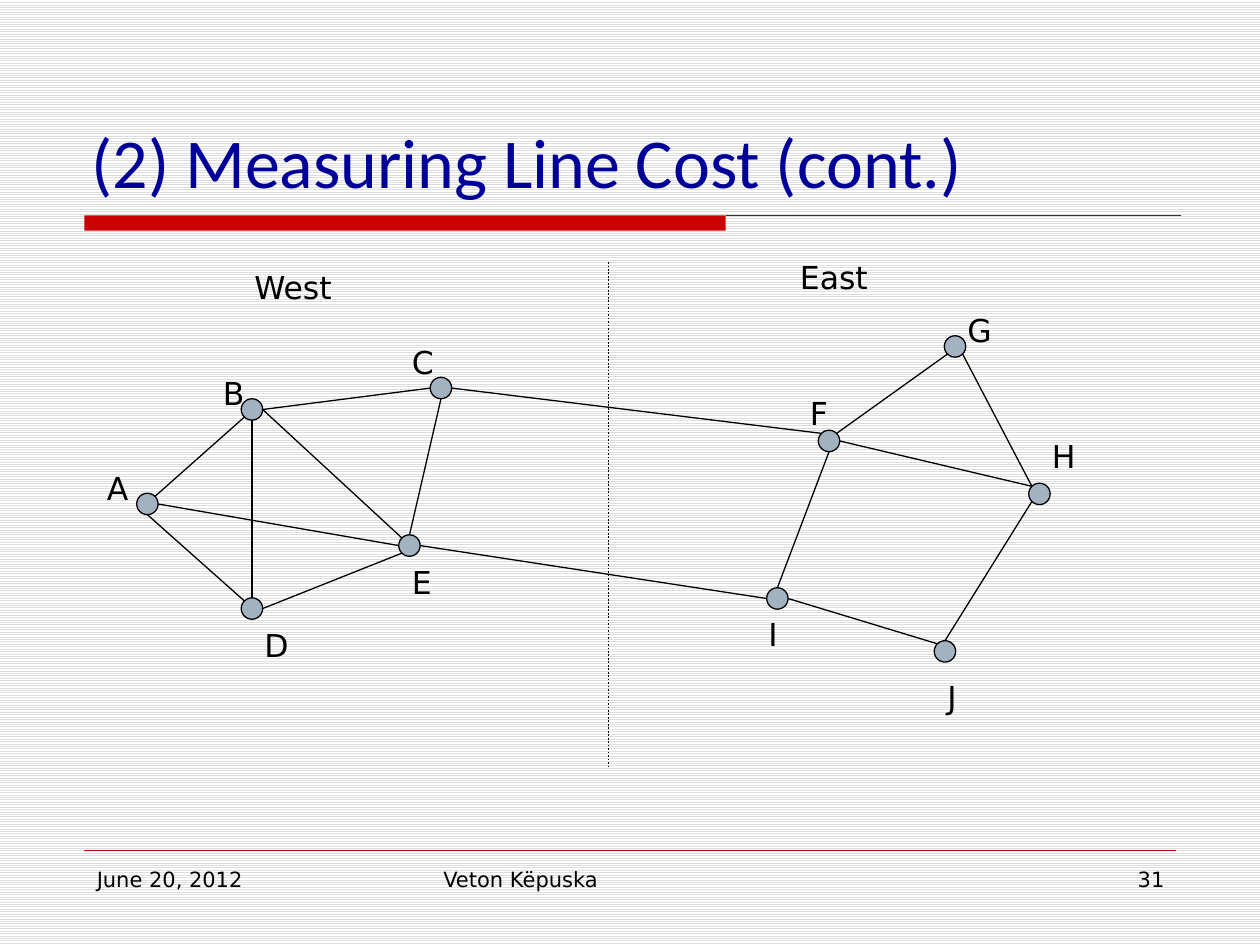
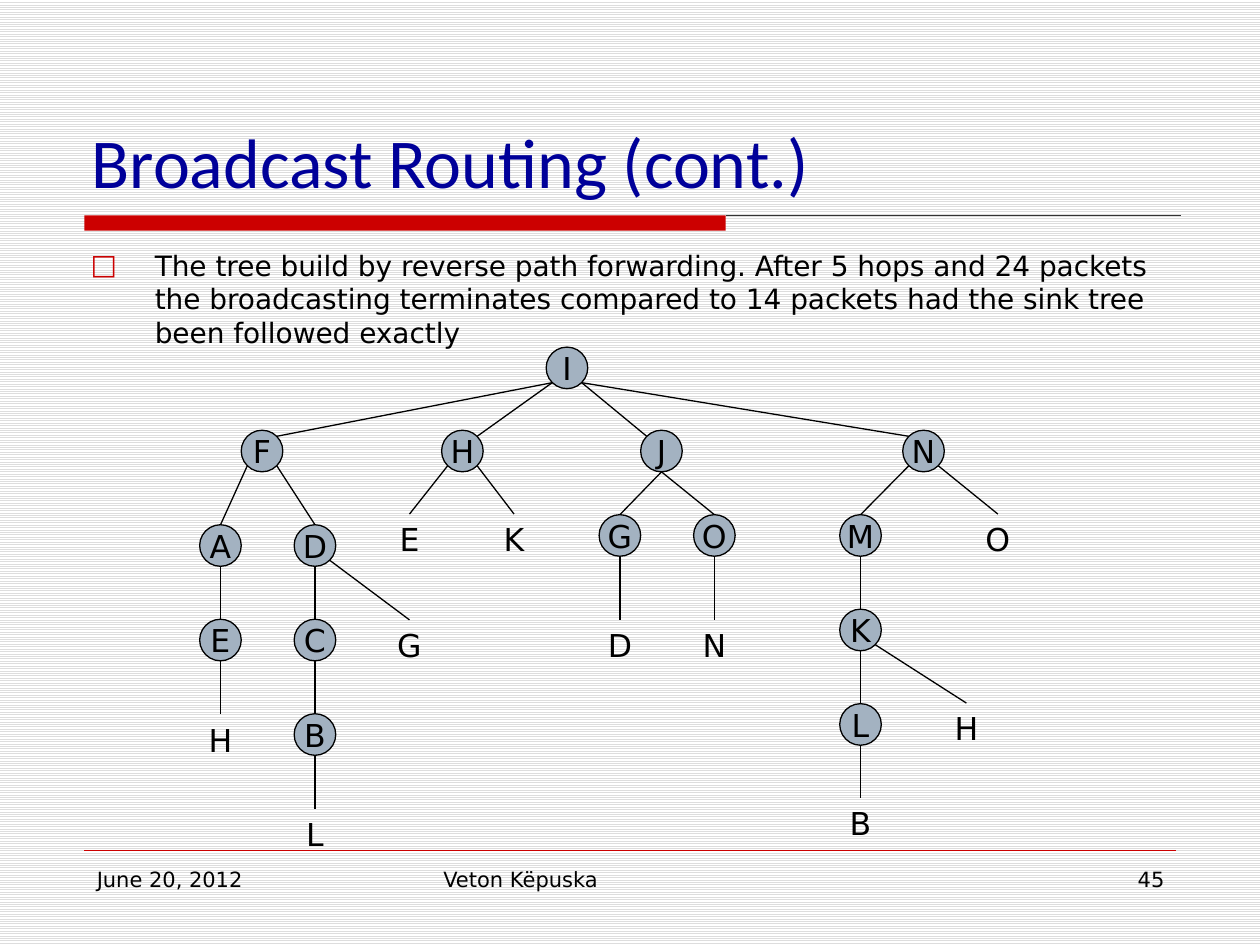
from lxml.etree import SubElement
from pptx import Presentation
from pptx.dml.color import RGBColor
from pptx.enum.dml import MSO_LINE, MSO_PATTERN
from pptx.enum.shapes import MSO_CONNECTOR, MSO_SHAPE
from pptx.enum.text import MSO_ANCHOR, PP_ALIGN
from pptx.oxml.ns import qn
from pptx.util import Inches, Pt

COLORS = {
    "ink": "000000", "title": "000099", "red": "CC0000", "rule": "333333",
    "node": "A3B2C1", "stripe": "DDDDDD", "paper": "FFFFFF",
}
FORMATS = {
    "title": {"name": "Calibri", "size": Pt(40), "color": "title"},
    "body": {"name": "DejaVu Sans", "size": Pt(16), "color": "ink"},
    "label": {"name": "DejaVu Sans", "size": Pt(18), "color": "ink"},
    "footer": {"name": "DejaVu Sans", "size": Pt(12), "color": "ink"},
}
DATE = "June 20, 2012"
AUTHOR = "Veton Këpuska"

NETWORK = {
    "title": "(2) Measuring Line Cost (cont.)",
    "page": "31",
    "diameter": 0.17,
    "routers": {
        "A": (1.17, 4), "B": (2, 3.25), "C": (3.5, 3.08), "D": (2, 4.83),
        "E": (3.25, 4.33), "F": (6.58, 3.5), "G": (7.58, 2.75),
        "H": (8.25, 3.92), "I": (6.17, 4.75), "J": (7.5, 5.17),
    },
    "links": [
        "E e I w", "C s E n", "B e E nw", "A s D nw", "A e E w", "B s D n",
        "B sw A ne", "E sw D e", "C w B e", "F nw C e", "G sw F ne",
        "I n F s", "J nw I e", "H nw F e", "H nw G se", "J n H sw",
    ],
    "labels": [
        ("A", 0.75, 3.67), ("B", 1.67, 2.92), ("C", 3.17, 2.67),
        ("D", 2, 4.92), ("E", 3.17, 4.42), ("I", 6, 4.83),
        ("J", 7.42, 5.33), ("F", 6.33, 3.08), ("H", 8.25, 3.42),
        ("G", 7.58, 2.42),
    ],
    "regions": [("West", 1.92, 2.08), ("East", 6.25, 2)],
    "border": ((4.83, 2.08), (4.83, 6.08)),
}

TREE = {
    "title": "Broadcast Routing (cont.)",
    "page": "45",
    "bullet": "The tree build by reverse path forwarding. After 5 hops and 24 "
              "packets the broadcasting terminates compared to 14 packets had "
              "the sink tree been followed exactly",
    "diameter": 0.33,
    "routers": {
        "I": (4.5, 2.92),
        "F": (2.08, 3.58), "H": (3.67, 3.58), "J": (5.25, 3.58), "N": (7.33, 3.58),
        "A": (1.75, 4.33), "E": (1.75, 5.08),
        "D": (2.5, 4.33), "C": (2.5, 5.08), "B": (2.5, 5.83),
        "G": (4.92, 4.25), "O": (5.67, 4.25),
        "M": (6.83, 4.25), "K": (6.83, 5), "L": (6.83, 5.75),
    },
    "links": [
        "I sw F ne", "I sw H ne", "I se J nw", "I se N nw", "F sw A n",
        "F se D n", "A s E n", "D s C n", "C s B n", "J s G n", "J s O n",
        "N sw M n", "M s K n", "K s L n",
    ],
    "leaves": [
        ("L", "B", "s", 2.5, 6.42), ("H", "E", "s", 1.75, 5.67),
        ("G", "D", "se", 3.25, 4.92), ("E", "H", "sw", 3.25, 4.08),
        ("K", "H", "se", 4.08, 4.08), ("D", "G", "s", 4.92, 4.92),
        ("N", "O", "s", 5.67, 4.92), ("H", "K", "se", 7.67, 5.58),
        ("O", "N", "se", 7.92, 4.08), ("B", "L", "s", 6.83, 6.33),
    ],
}

SITES = {
    "n": (0, -1), "s": (0, 1), "w": (-1, 0), "e": (1, 0),
    "nw": (-0.71, -0.71), "ne": (0.71, -0.71),
    "sw": (-0.71, 0.71), "se": (0.71, 0.71),
}


def rgb(name):
    return RGBColor.from_string(COLORS[name])


def set_text(sp, text, style, align=PP_ALIGN.LEFT, anchor=MSO_ANCHOR.TOP, wrap=True):
    tf = sp.text_frame
    tf.word_wrap = wrap
    tf.vertical_anchor = anchor
    p = tf.paragraphs[0]
    p.alignment = align
    r = p.add_run()
    r.text = text
    for key, value in FORMATS[style].items():
        if key == "color":
            r.font.color.rgb = rgb(value)
        else:
            setattr(r.font, key, value)
    return p


def add_text(s, text, style, box, **options):
    sp = s.shapes.add_textbox(*map(Inches, box))
    return set_text(sp, text, style, **options)


def add_line(s, start, end, color="ink", width=0.75, dash=None):
    sp = s.shapes.add_connector(MSO_CONNECTOR.STRAIGHT, *map(Inches, (*start, *end)))
    sp.line.color.rgb = rgb(color)
    sp.line.width = Pt(width)
    if dash:
        sp.line.dash_style = dash
    SubElement(sp._element.spPr, qn("a:effectLst"))


def add_bullet(p, char, indent):
    pPr = p._p.get_or_add_pPr()
    pPr.set("marL", str(Inches(indent)))
    pPr.set("indent", str(-Inches(indent)))
    clr = SubElement(pPr, qn("a:buClr"))
    SubElement(clr, qn("a:srgbClr"), val=COLORS["red"])
    SubElement(pPr, qn("a:buFont"), typeface="DejaVu Sans")
    SubElement(pPr, qn("a:buChar"), char=char)


def site_of(graph, name, side):
    x, y = graph["routers"][name]
    dx, dy = SITES[side]
    radius = graph["diameter"] / 2
    return x + dx * radius, y + dy * radius


def add_graph(s, graph, lettered):
    d = graph["diameter"]
    for name, (x, y) in graph["routers"].items():
        sp = s.shapes.add_shape(
            MSO_SHAPE.OVAL, *map(Inches, (x - d / 2, y - d / 2, d, d)))
        sp.shadow.inherit = False
        sp.fill.solid()
        sp.fill.fore_color.rgb = rgb("node")
        sp.line.color.rgb = rgb("ink")
        sp.line.width = Pt(0.75)
        if lettered:
            set_text(sp, name, "label", align=PP_ALIGN.CENTER,
                     anchor=MSO_ANCHOR.MIDDLE, wrap=False)
    for link in graph["links"]:
        a, a_side, b, b_side = link.split()
        add_line(s, site_of(graph, a, a_side), site_of(graph, b, b_side))


def add_slide(prs, content):
    s = prs.slides.add_slide(prs.slide_layouts[6])
    fill = s.background.fill
    fill.patterned()
    fill.pattern = MSO_PATTERN.LIGHT_HORIZONTAL
    fill.fore_color.rgb = rgb("stripe")
    fill.back_color.rgb = rgb("paper")
    band = s.shapes.add_shape(MSO_SHAPE.RECTANGLE, *map(Inches, (0.67, 1.71, 5.09, 0.12)))
    band.shadow.inherit = False
    band.fill.solid()
    band.fill.fore_color.rgb = rgb("red")
    band.line.fill.background()
    add_line(s, (5.76, 1.71), (9.37, 1.71), "rule")
    add_line(s, (0.67, 6.75), (9.33, 6.75), "red", 0.25)
    for text, left, width, align in (
        (DATE, 0.67, 2.17, PP_ALIGN.LEFT),
        (AUTHOR, 3.42, 3.17, PP_ALIGN.LEFT),
        (content["page"], 7.17, 2.17, PP_ALIGN.RIGHT),
    ):
        add_text(s, text, "footer", (left, 6.83, width, 0.52), align=align)
    add_text(s, content["title"], "title", (0.63, 0.33, 8.75, 1.33),
             anchor=MSO_ANCHOR.BOTTOM)
    return s


def add_network_slide(prs):
    s = add_slide(prs, NETWORK)
    add_graph(s, NETWORK, lettered=False)
    for width, group in ((0.33, "labels"), (0.92, "regions")):
        for text, x, y in NETWORK[group]:
            add_text(s, text, "label", (x, y, width, 0.4))
    add_line(s, *NETWORK["border"], width=1, dash=MSO_LINE.ROUND_DOT)


def add_tree_slide(prs):
    s = add_slide(prs, TREE)
    p = add_text(s, TREE["bullet"], "body", (0.62, 1.92, 8.75, 4.67))
    add_bullet(p, "□", 0.51)
    add_graph(s, TREE, lettered=True)
    for letter, parent, side, x, y in TREE["leaves"]:
        add_line(s, site_of(TREE, parent, side), (x, y))
        add_text(s, letter, "label", (x - 0.25, y, 0.5, 0.4), align=PP_ALIGN.CENTER)


def main():
    prs = Presentation()
    prs.slide_width, prs.slide_height = Inches(10), Inches(7.5)
    add_network_slide(prs)
    add_tree_slide(prs)
    prs.save("out.pptx")


if __name__ == "__main__":
    main()
